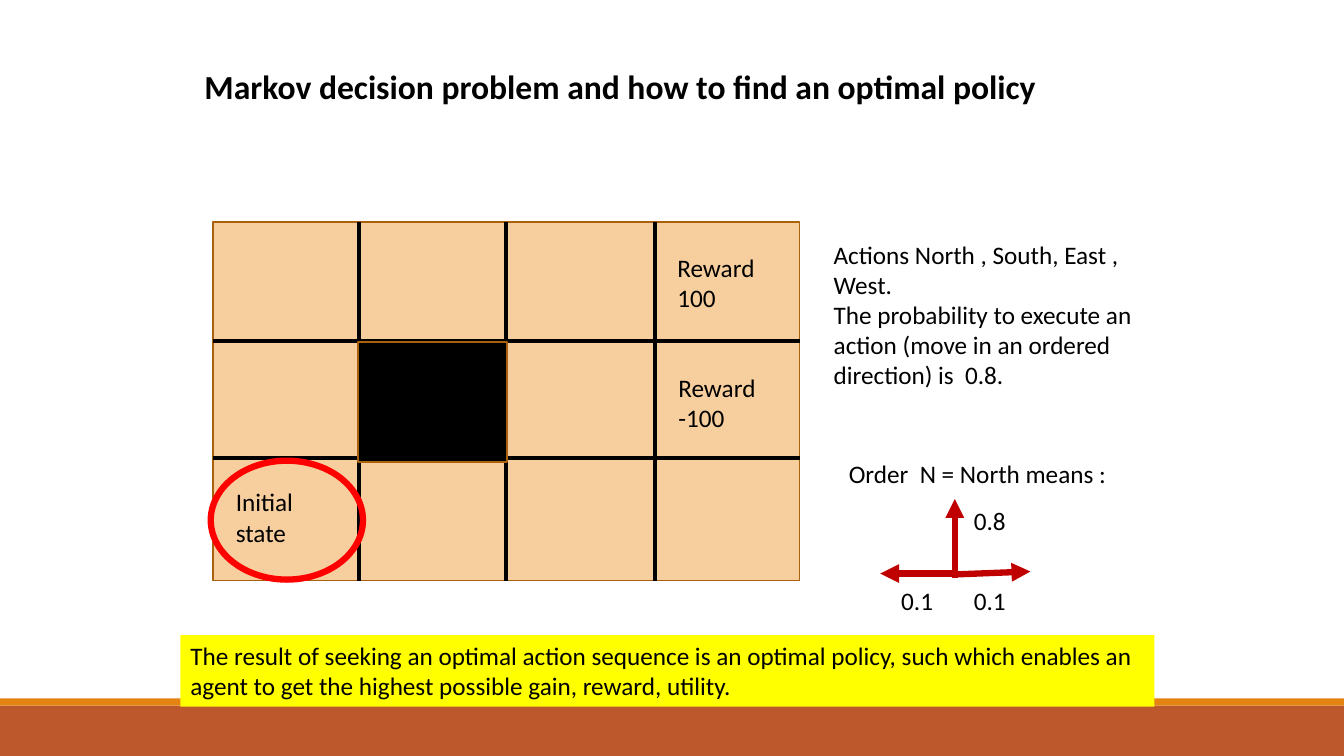
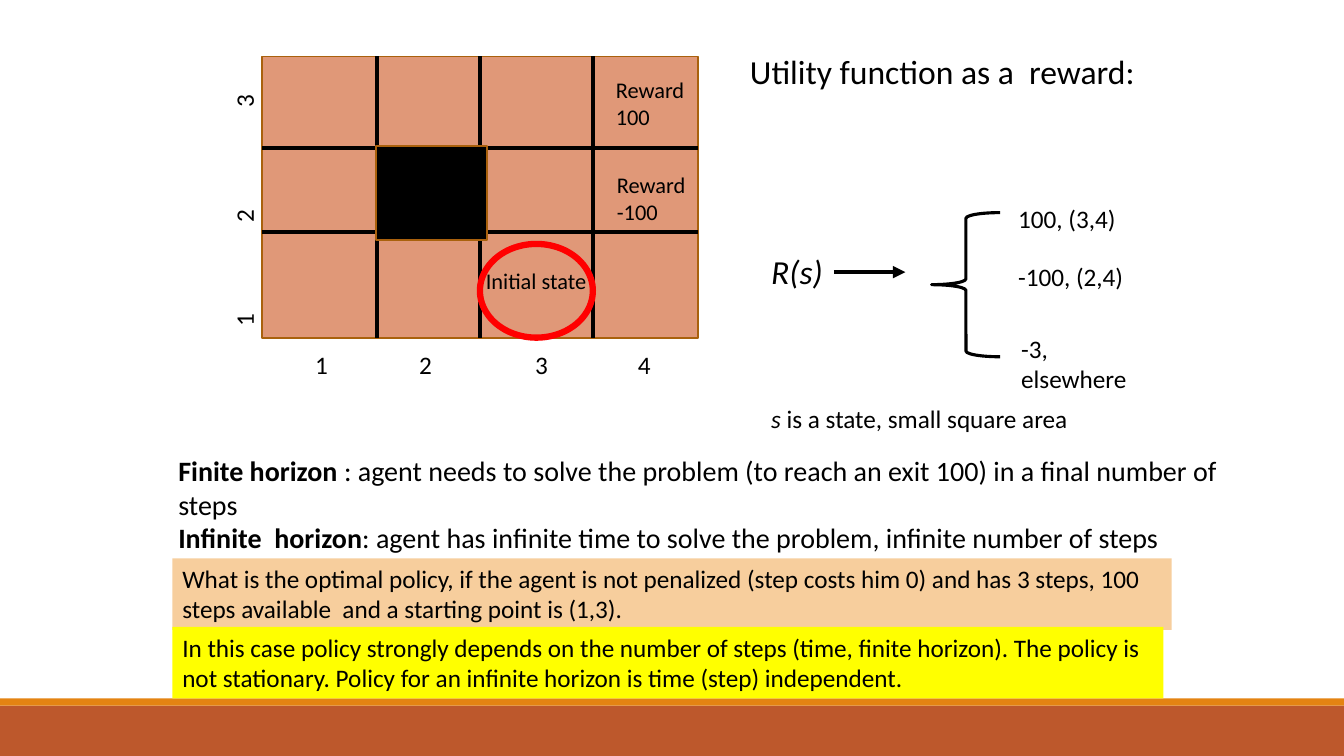
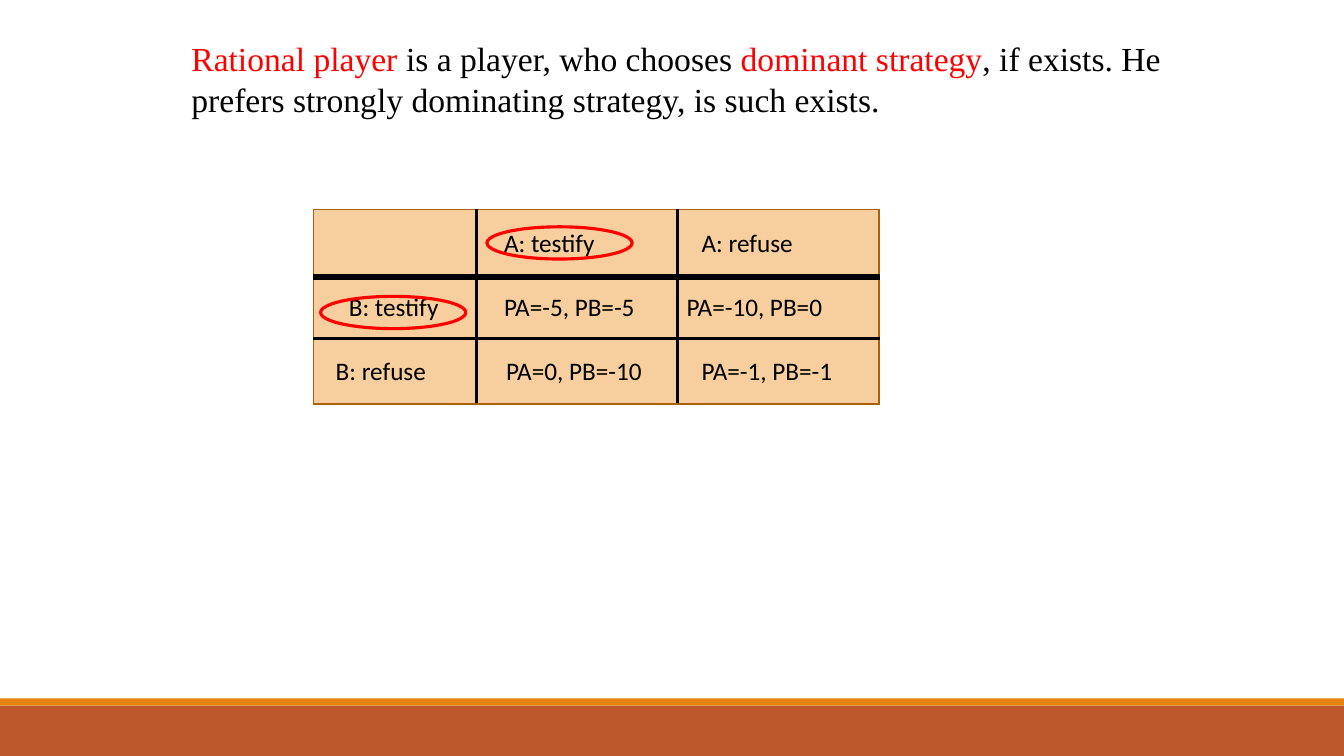
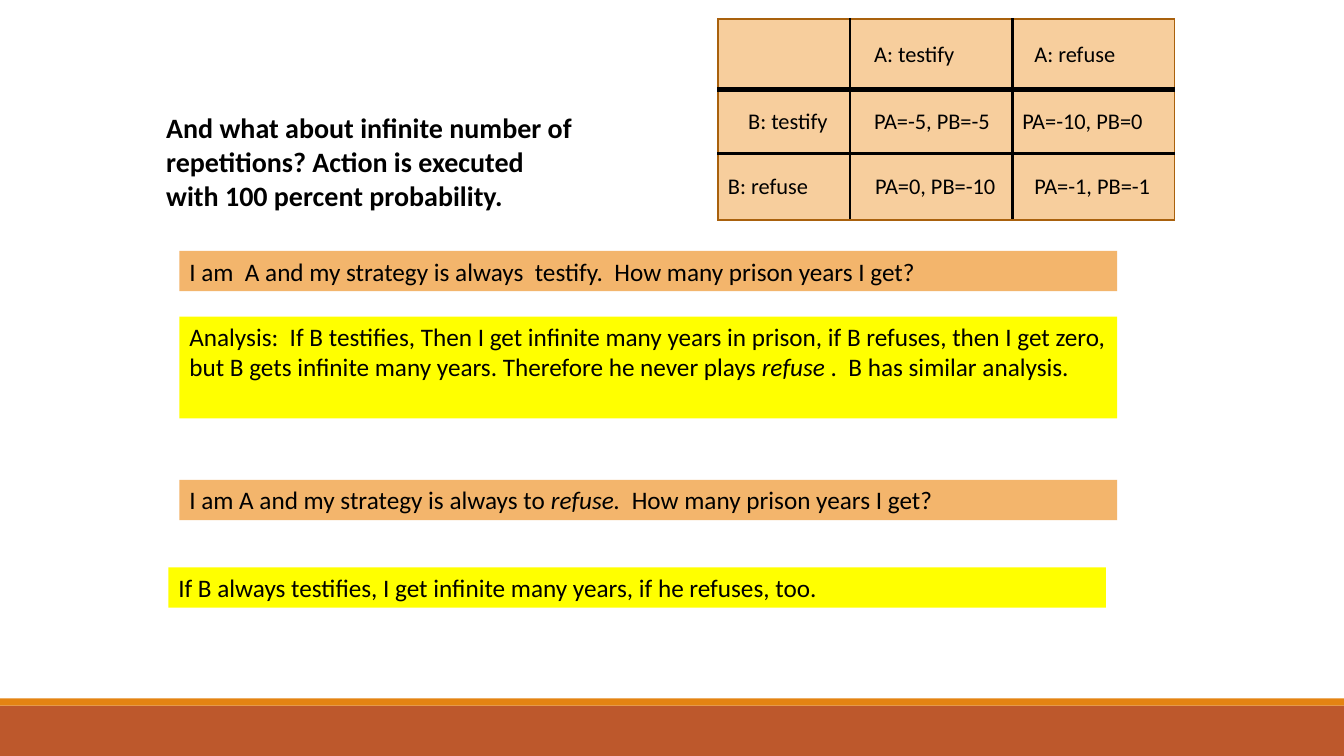
"""Build four slides on Markov decisions and the prisoner's dilemma."""
import itertools

import pptx
import pptx.dml.color
import pptx.enum.shapes
import pptx.enum.text
import pptx.oxml
import pptx.oxml.ns
import pptx.util

RGB = pptx.dml.color.RGBColor
BLACK, WHITE = RGB(0, 0, 0), RGB(255, 255, 255)
RED, DARK_RED = RGB(0xFF, 0, 0), RGB(0xC0, 0, 0)
YELLOW, SAND = RGB(0xFF, 0xFF, 0), RGB(0xF7, 0xCE, 0x9D)
SALMON, ORANGE = RGB(0xE0, 0x98, 0x78), RGB(0xF3, 0xB5, 0x6C)
BROWN = RGB(0xA9, 0x61, 0x0D)
BANDS = [((0, 700, 1333, 50), RGB(0xBD, 0x58, 0x2C)),
         ((0, 693, 1333, 7), RGB(0xE4, 0x83, 0x12))]

EMU_PER_PX = 9144
KIND = pptx.enum.shapes.MSO_SHAPE
ANCHOR = pptx.enum.text.MSO_ANCHOR
ALIGN = pptx.enum.text.PP_ALIGN
BOLD, ITALIC, IN_RED = {"bold": True}, {"italic": True}, {"color": RED}

PAYOFFS = [["", "A: testify", "A: refuse"],
           ["B: testify", "PA=-5, PB=-5", "PA=-10, PB=0"],
           ["B: refuse", "PA=0, PB=-10", "PA=-1, PB=-1"]]

MARKOV = {
    "board": {"xs": [211, 356, 502, 650, 793], "ys": [220, 338, 454, 576],
              "fill": SAND, "wall": (355, 339, 148, 119)},
    "start": (209, 457, 151, 118),
    "texts": [
        ((193, 60, 974, 51),
         ["Markov decision problem and how to find an optimal policy"],
         {"size": 24, "bold": True}),
        ((662, 245, 116, 71), ["Reward 100"], {}),
        ((663, 364, 116, 71), ["Reward", "-100"], {}),
        ((224, 478, 130, 71), ["Initial state"], {}),
        ((817, 232, 328, 162),
         ["Actions North , South, East , West.",
          "The probability to execute an action (move in an ordered "
          "direction) is  0.8."], {}),
        ((832, 450, 312, 40), ["Order  N = North means :"], {}),
        ((956, 496, 57, 40), ["0.8"], {}),
        ((884, 576, 57, 40), ["0.1"], {}),
        ((956, 576, 57, 40), ["0.1"], {}),
        ((179, 630, 966, 71),
         ["The result of seeking an optimal action sequence is an optimal "
          "policy, such which enables an agent to get the highest possible "
          "gain, reward, utility."], {"fill": YELLOW}),
    ],
    "moves": [((947, 573), (947, 495)), ((944, 570), (1022, 567)),
              ((944, 569), (873, 569))],
}

UTILITY = {
    "board": {"xs": [260, 374, 476, 588, 692], "ys": [56, 147, 230, 335],
              "fill": SALMON, "wall": (373, 145, 110, 93)},
    "start": (476, 242, 112, 93),
    "column_numbers": [("1", 319), ("2", 422), ("3", 537), ("4", 639)],
    "row_numbers": [("3", 100), ("2", 214), ("1", 318)],
    "maps_to": ((827, 270), (898, 270)),
    "brace": (924, 211, 68, 143),
    "texts": [
        ((601, 71, 101, 64), ["Reward 100"], {"size": 16}),
        ((602, 165, 98, 64), ["Reward -100"], {"size": 16}),
        ((472, 260, 142, 37), ["Initial state"], {"size": 16}),
        ((734, 46, 416, 50), ["Utility function as a  reward:"], {"size": 24}),
        ((755, 244, 100, 51), ["R(s)"], {"size": 24, "italic": True}),
        ((1000, 197, 126, 40), ["100, (3,4)"], {}),
        ((1000, 254, 126, 40), ["-100, (2,4)"], {}),
        ((1003, 326, 126, 71), ["-3, elsewhere"], {}),
        ((755, 395, 336, 42),
         [[("s ", ITALIC), ("is a state, small square area", {})]], {}),
        ((167, 445, 1056, 111),
         [[("Finite horizon ", BOLD),
           (": agent needs to solve the problem (to reach an exit 100) in a "
            "final number of steps", {})],
          [("Infinite  horizon", BOLD),
           (": agent has infinite time to solve the problem, infinite number "
            "of steps", {})]], {"size": 20}),
        ((171, 554, 991, 71),
         ["What is the optimal policy, if the agent is not penalized (step "
          "costs him 0) and has 3 steps, 100 steps available  and a starting "
          "point is (1,3)."], {"fill": SAND}),
        ((171, 622, 983, 71),
         ["In this case policy strongly depends on the number of steps (time, "
          "finite horizon). The policy is not stationary. Policy for an "
          "infinite horizon is time (step) independent."], {"fill": YELLOW}),
    ],
}

RATIONAL = {
    "matrix": {"corner": (311, 208), "widths": [162, 199, 200],
               "heights": [67, 61, 65], "size": 18,
               "indents": [[0, 27, 24], [35, 27, 9], [22, 29, 24]]},
    "choices": [(483, 225, 144, 32), (318, 294, 144, 32)],
    "texts": [
        ((180, 33, 996, 91),
         [[("Rational player ", IN_RED), ("is a player, who chooses ", {}),
           ("dominant strategy", IN_RED),
           (", if exists. He prefers strongly dominating strategy, is such "
            "exists.", {})]], {"size": 24, "font": "Times New Roman"}),
    ],
}

REPEATED = {
    "matrix": {"corner": (712, 19), "widths": [131, 161, 161],
               "heights": [70, 63, 66], "size": 16,
               "indents": [[0, 24, 22], [30, 24, 10], [10, 25, 22]]},
    "texts": [
        ((155, 105, 432, 111),
         ["And what about infinite number of repetitions? Action is executed "
          "with 100 percent probability."], {"size": 20, "bold": True}),
        ((178, 249, 930, 40),
         ["I am  A and my strategy is always  testify.  How many prison years "
          "I get?"], {"fill": ORANGE}),
        ((178, 314, 930, 101),
         [[("Analysis:  If B testifies, Then I get infinite many years in "
            "prison, if B refuses, then I get zero, but B gets infinite many "
            "years. Therefore he never plays ", {}), ("refuse", ITALIC),
           (" .  B has similar analysis.", {})]], {"fill": YELLOW}),
        ((178, 476, 930, 40),
         [[("I am A and my strategy is always to ", {}),
           ("refuse.  ", ITALIC), ("How many prison years I get?", {})]],
         {"fill": ORANGE}),
        ((167, 563, 930, 40),
         ["If B always testifies, I get infinite many years, if he refuses, "
          "too."], {"fill": YELLOW}),
    ],
}


def px(*lengths):
    return [pptx.util.Emu(length * EMU_PER_PX) for length in lengths]


def write(frame, paragraphs, size=18, font="Calibri", color=BLACK,
          bold=False, italic=False, align=ALIGN.LEFT):
    frame.word_wrap = True
    for number, content in enumerate(paragraphs):
        paragraph = frame.add_paragraph() if number else frame.paragraphs[0]
        paragraph.alignment = align
        runs = [(content, {})] if isinstance(content, str) else content
        for words, style in runs:
            run = paragraph.add_run()
            run.text = words
            run.font.name = font
            run.font.size = pptx.util.Pt(size)
            run.font.color.rgb = style.get("color", color)
            run.font.bold = style.get("bold", bold)
            run.font.italic = style.get("italic", italic)


def add_label(slide, box, paragraphs, fill=None, rotation=0, **style):
    label = slide.shapes.add_textbox(*px(*box))
    label.rotation = rotation
    if fill is not None:
        label.fill.solid()
        label.fill.fore_color.rgb = fill
    write(label.text_frame, paragraphs, **style)


def add_figure(slide, kind, box, fill=None, line=None, width=1.25):
    figure = slide.shapes.add_shape(kind, *px(*box))
    figure.shadow.inherit = False
    if fill is None:
        figure.fill.background()
    else:
        figure.fill.solid()
        figure.fill.fore_color.rgb = fill
    if line is None:
        figure.line.fill.background()
    else:
        figure.line.color.rgb = line
        figure.line.width = pptx.util.Pt(width)


def add_line(slide, start, end, color=BLACK, width=3, arrow=False):
    line = slide.shapes.add_connector(
        pptx.enum.shapes.MSO_CONNECTOR.STRAIGHT, *px(*start, *end))
    line.line.color.rgb = color
    line.line.width = pptx.util.Pt(width)
    if arrow:
        head = pptx.oxml.parse_xml(
            f'<a:tailEnd {pptx.oxml.ns.nsdecls("a")} type="triangle"/>')
        line.line._get_or_add_ln().append(head)
    line._element.spPr.append(pptx.oxml.parse_xml(
        f'<a:effectLst {pptx.oxml.ns.nsdecls("a")}/>'))


def add_board(slide, xs, ys, fill, wall):
    left, right, top, bottom = xs[0], xs[-1], ys[0], ys[-1]
    add_figure(slide, KIND.RECTANGLE, (left, top, right - left, bottom - top),
               fill, BROWN)
    for x in xs[1:-1]:
        add_line(slide, (x, top), (x, bottom))
    for y in ys[1:-1]:
        add_line(slide, (left, y), (right, y))
    add_figure(slide, KIND.RECTANGLE, wall, BLACK, BROWN)


def set_borders(cell, borders):
    properties = cell._tc.get_or_add_tcPr()
    for position, (side, (color, width)) in enumerate(borders.items()):
        properties.insert(position, pptx.oxml.parse_xml(
            f'<a:ln{side} {pptx.oxml.ns.nsdecls("a")} '
            f'w="{pptx.util.Pt(width)}"><a:solidFill>'
            f'<a:srgbClr val="{color}"/></a:solidFill></a:ln{side}>'))


def add_matrix(slide, corner, widths, heights, size, indents):
    matrix = slide.shapes.add_table(
        len(heights), len(widths),
        *px(*corner, sum(widths), sum(heights))).table
    matrix.first_row = matrix.horz_banding = False
    for column, width in zip(matrix.columns, px(*widths)):
        column.width = width
    for row, height in zip(matrix.rows, px(*heights)):
        row.height = height
    edge, rule, header_rule = (BROWN, 1.25), (BLACK, 2.25), (BLACK, 4.5)
    row_rules = [edge, header_rule, rule, edge]
    column_rules = [edge, rule, rule, edge]
    for r, c in itertools.product(range(len(heights)), range(len(widths))):
        cell = matrix.cell(r, c)
        cell.fill.solid()
        cell.fill.fore_color.rgb = SAND
        cell.vertical_anchor = ANCHOR.MIDDLE
        cell.margin_left, cell.margin_right = px(indents[r][c], 0)
        write(cell.text_frame, [PAYOFFS[r][c]], size=size)
        set_borders(cell, {"L": column_rules[c], "R": column_rules[c + 1],
                           "T": row_rules[r], "B": row_rules[r + 1]})


def add_slide(deck, content):
    slide = deck.slides.add_slide(deck.slide_layouts[6])
    slide.background.fill.solid()
    slide.background.fill.fore_color.rgb = WHITE
    for box, color in BANDS:
        add_figure(slide, KIND.RECTANGLE, box, color)
    if "board" in content:
        add_board(slide, **content["board"])
        add_figure(slide, KIND.OVAL, content["start"], line=RED, width=4.5)
    if "matrix" in content:
        add_matrix(slide, **content["matrix"])
    for choice in content.get("choices", []):
        add_figure(slide, KIND.OVAL, choice, line=RED, width=2.25)
    for start, end in content.get("moves", []):
        add_line(slide, start, end, DARK_RED, 4.5, arrow=True)
    for box, paragraphs, style in content["texts"]:
        add_label(slide, box, paragraphs, **style)
    return slide


def main():
    deck = pptx.Presentation()
    deck.slide_width, deck.slide_height = px(1333, 750)
    add_slide(deck, MARKOV)
    utility = add_slide(deck, UTILITY)
    for number, x in UTILITY["column_numbers"]:
        add_label(utility, (x - 20, 342, 40, 40), [number], align=ALIGN.CENTER)
    for number, y in UTILITY["row_numbers"]:
        add_label(utility, (222, y - 20, 40, 40), [number], rotation=270,
                  align=ALIGN.CENTER)
    add_line(utility, *UTILITY["maps_to"], arrow=True)
    add_figure(utility, KIND.LEFT_BRACE, UTILITY["brace"], line=BLACK,
               width=2.25)
    add_slide(deck, RATIONAL)
    add_slide(deck, REPEATED)
    deck.save("out.pptx")


if __name__ == "__main__":
    main()
